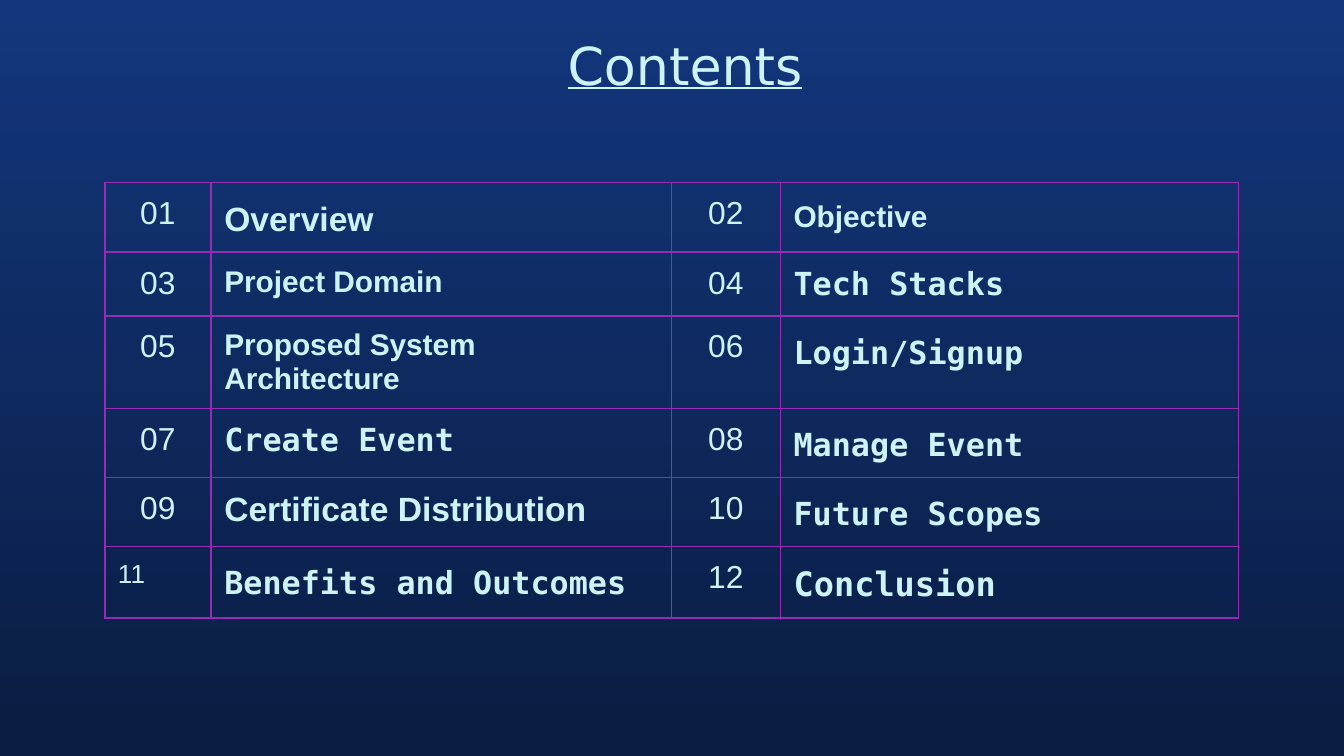
from dataclasses import dataclass

from lxml.etree import SubElement
from pptx import Presentation
from pptx.dml.color import RGBColor
from pptx.enum.text import MSO_ANCHOR as Anchor, MSO_AUTO_SIZE as AutoSize, PP_ALIGN as Align
from pptx.oxml.ns import qn
from pptx.table import _Cell as Cell
from pptx.util import Cm, Pt

SANS, MONO, TITLE_FONT = "Arial", "DejaVu Sans Mono", "DejaVu Sans"
PALE, PURPLE = "CEF3F5", "972CB4"
NIGHT_TOP, NIGHT_BOTTOM = "13367C", "0A1D42"
INSET = Cm(0.25)
COLUMN_WIDTHS = (2.01, 8.7, 2.06, 8.66)
ROW_HEIGHT = 1.07


@dataclass
class Topic:
    name: str
    size: int = 17
    font: str = MONO
    spacing: float = 1.0
    number_size: int = 17
    number_align: Align = Align.CENTER


TOPICS = [
    Topic("Overview", 18, SANS, 1.15),
    Topic("Objective", 16, SANS, 1.15),
    Topic("Project Domain", 16, SANS),
    Topic("Tech Stacks"),
    Topic("Proposed System Architecture", 16, SANS),
    Topic("Login/Signup", spacing=1.15),
    Topic("Create Event"),
    Topic("Manage Event", spacing=1.15),
    Topic("Certificate Distribution", 18, SANS),
    Topic("Future Scopes", spacing=1.15),
    Topic("Benefits and Outcomes", spacing=1.15, number_size=14, number_align=Align.LEFT),
    Topic("Conclusion", 18, spacing=1.15),
]


def colour(value: str) -> RGBColor:
    return RGBColor.from_string(value)


def add_text(paragraph, text: str, size: int, font: str, bold: bool = False,
             underline: bool = False, align: Align = Align.LEFT, spacing: float = 1.0) -> None:
    paragraph.alignment = align
    paragraph.line_spacing = spacing
    run = paragraph.add_run()
    run.text = text
    run.font.size = Pt(size)
    run.font.name = font
    run.font.bold = bold
    run.font.underline = underline
    run.font.color.rgb = colour(PALE)


def set_insets(box) -> None:
    box.margin_left = box.margin_right = box.margin_top = box.margin_bottom = INSET


def format_cell(cell: Cell) -> None:
    """Make the cell transparent, with a border on all four sides."""
    set_insets(cell)
    cell.vertical_anchor = Anchor.TOP
    cell.fill.background()
    properties = cell._tc.get_or_add_tcPr()
    for place, side in enumerate(("a:lnL", "a:lnR", "a:lnT", "a:lnB")):
        line = SubElement(properties, qn(side), w=str(Pt(1)))
        fill = SubElement(line, qn("a:solidFill"))
        SubElement(fill, qn("a:srgbClr"), val=PURPLE)
        properties.insert(place, line)


def add_title(slide) -> None:
    title = slide.shapes.title
    title.left, title.top, title.width, title.height = Cm(2.24), Cm(0.38), Cm(21.41), Cm(1.6)
    frame = title.text_frame
    frame.auto_size = AutoSize.NONE
    frame.vertical_anchor = Anchor.TOP
    set_insets(frame)
    add_text(frame.paragraphs[0], "Contents", 28, TITLE_FONT, underline=True, align=Align.CENTER)


def add_contents(slide) -> None:
    row_count = len(TOPICS) // 2
    table = slide.shapes.add_table(row_count, len(COLUMN_WIDTHS), Cm(1.98), Cm(3.45),
                                   Cm(sum(COLUMN_WIDTHS)), Cm(ROW_HEIGHT * row_count)).table
    table.first_row = table.horz_banding = False
    for column, width in zip(table.columns, COLUMN_WIDTHS):
        column.width = Cm(width)
    for row in table.rows:
        row.height = Cm(ROW_HEIGHT)

    for index, topic in enumerate(TOPICS):
        row, half = divmod(index, 2)
        number_cell, name_cell = table.cell(row, 2 * half), table.cell(row, 2 * half + 1)
        format_cell(number_cell)
        format_cell(name_cell)
        add_text(number_cell.text_frame.paragraphs[0], f"{index + 1:02}", topic.number_size,
                 SANS, align=topic.number_align)
        add_text(name_cell.text_frame.paragraphs[0], topic.name, topic.size, topic.font,
                 bold=True, spacing=topic.spacing)


def main() -> None:
    deck = Presentation()
    deck.slide_width, deck.slide_height = Cm(25.4), Cm(14.29)
    slide = deck.slides.add_slide(deck.slide_layouts.get_by_name("Title Only"))
    backdrop = slide.background.fill
    backdrop.gradient()
    backdrop.gradient_angle = 270
    for stop, shade in zip(backdrop.gradient_stops, (NIGHT_TOP, NIGHT_BOTTOM)):
        stop.color.rgb = colour(shade)
    add_title(slide)
    add_contents(slide)
    deck.save("out.pptx")


if __name__ == "__main__":
    main()
